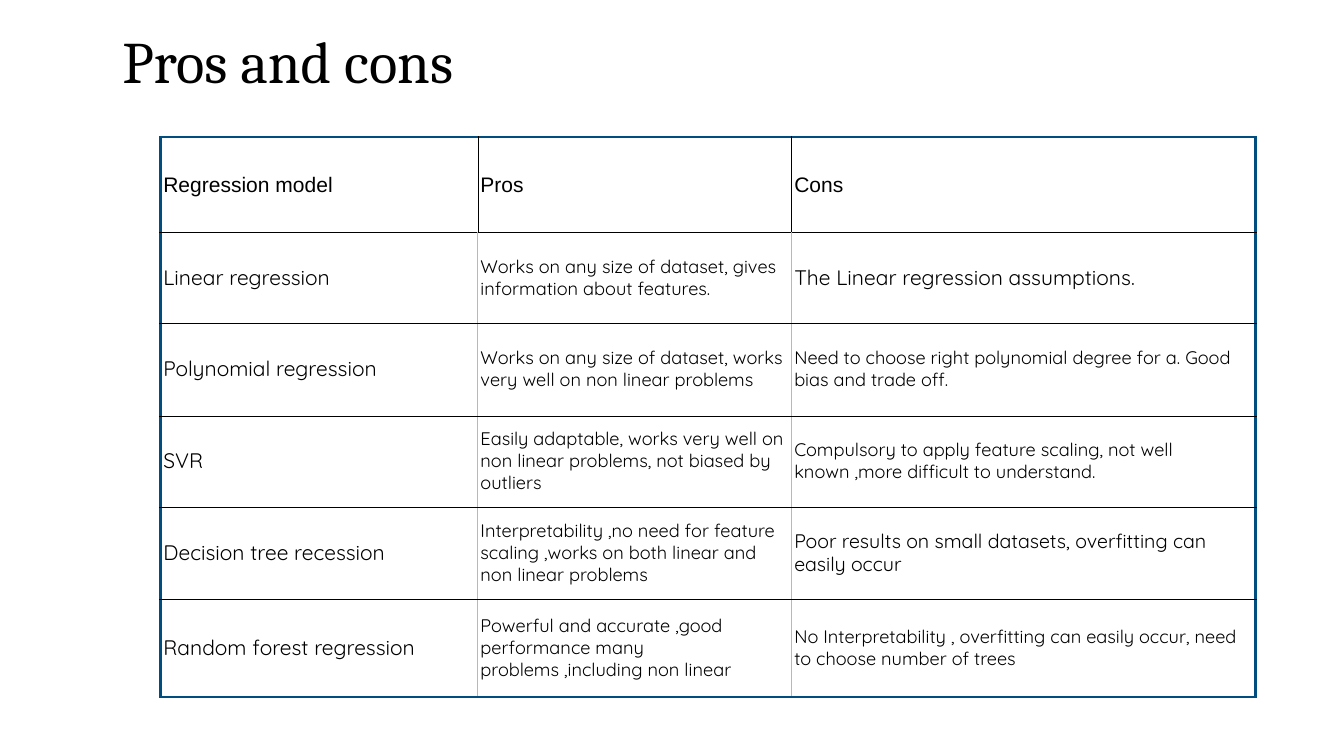
import pptx
import pptx.dml.color
import pptx.enum.text
import pptx.oxml
import pptx.oxml.ns
import pptx.util
from dataclasses import dataclass

Inches = pptx.util.Inches
Pt = pptx.util.Pt


@dataclass(frozen=True)
class Theme:
    ink: str = "000000"
    frame: str = "004D80"
    pale: str = "B8B8B8"
    serif: str = "Cambria"
    sans: str = "Arial"
    body: str = "Quicksand"
    title: float = 63
    large: float = 22.5
    mid: float = 21
    small: float = 19.5
    lead: float = 1.2
    pad: float = 0.04


class Deck:
    def __init__(self, theme):
        self.theme = theme
        self.prs = pptx.Presentation()
        self.prs.slide_width = Inches(20)
        self.prs.slide_height = Inches(11.25)
        self.slide = self.prs.slides.add_slide(self.prs.slide_layouts[6])

    def label(self, frame, text, font, size):
        """Fill a text frame with one paragraph of one run."""
        para = frame.paragraphs[0]
        para.line_spacing = Pt(size * self.theme.lead)
        run = para.add_run()
        run.text = text
        run.font.name = font
        run.font.size = Pt(size)
        run.font.color.rgb = pptx.dml.color.RGBColor.from_string(self.theme.ink)

    def title(self, text, left, top, width, height):
        box = self.slide.shapes.add_textbox(
            Inches(left), Inches(top), Inches(width), Inches(height))
        frame = box.text_frame
        frame.word_wrap = True
        frame.margin_left = frame.margin_right = 0
        frame.margin_top = frame.margin_bottom = 0
        self.label(frame, text, self.theme.serif, self.theme.title)

    def edge(self, cell, lines):
        """Draw the left, right, top and bottom borders of a cell, in that order."""
        props = cell._tc.get_or_add_tcPr()
        for spot, (side, (color, width)) in enumerate(zip("LRTB", lines)):
            line = pptx.oxml.parse_xml(
                f'<a:ln{side} {pptx.oxml.ns.nsdecls("a")} w="{Pt(width)}">'
                f'<a:solidFill><a:srgbClr val="{color}"/></a:solidFill>'
                f'</a:ln{side}>')
            props.insert(spot, line)

    def table(self, rows, left, top, widths, heights):
        theme = self.theme
        frame = (theme.frame, 3)
        thin = (theme.ink, 0.37)
        soft = (theme.pale, 1)
        grid = self.slide.shapes.add_table(
            len(rows), len(widths), Inches(left), Inches(top),
            Inches(sum(widths)), Inches(sum(heights))).table
        grid.first_row = grid.horz_banding = False
        for col, width in zip(grid.columns, widths):
            col.width = Inches(width)
        for row, height in zip(grid.rows, heights):
            row.height = Inches(height)
        end_row, end_col = len(rows) - 1, len(widths) - 1
        for r, row in enumerate(rows):
            inner = soft if r else thin
            for c, (text, size) in enumerate(row):
                cell = grid.cell(r, c)
                cell.fill.background()
                cell.vertical_anchor = pptx.enum.text.MSO_ANCHOR.MIDDLE
                cell.margin_left = cell.margin_right = Inches(theme.pad)
                cell.margin_top = cell.margin_bottom = Inches(theme.pad)
                font = theme.body if r else theme.sans
                self.label(cell.text_frame, text, font, size)
                self.edge(cell, (
                    inner if c else frame,
                    frame if c == end_col else inner,
                    thin if r else frame,
                    frame if r == end_row else thin))

    def save(self):
        self.prs.save("out.pptx")


def main():
    theme = Theme()
    large, mid, small = theme.large, theme.mid, theme.small
    head = [("Regression model", large), ("Pros", large), ("Cons", large)]
    models = [
        ("Linear regression",
         "Works on any size of dataset, gives information about features.",
         "The Linear regression assumptions.", large),
        ("Polynomial regression",
         "Works on any size of dataset, works very well on non linear problems",
         "Need to choose right polynomial degree for a. Good bias and trade off.",
         small),
        ("SVR",
         "Easily adaptable, works very well on non linear problems, "
         "not biased by outliers",
         "Compulsory to apply feature scaling, not well known ,"
         "more difficult to understand.", small),
        ("Decision tree recession",
         "Interpretability ,no need for feature scaling ,"
         "works on both linear and non linear problems",
         "Poor results on small datasets, overfitting can easily occur", mid),
        ("Random forest regression",
         "Powerful and accurate ,good performance many problems ,"
         "including non linear",
         "No Interpretability , overfitting can easily occur, "
         "need to choose number of trees", small),
    ]
    rows = [head] + [[(name, large), (pros, small), (cons, size)]
                     for name, pros, cons, size in models]
    deck = Deck(theme)
    deck.title("Pros and cons", 1.82, 0.37, 12.6, 1.05)
    deck.table(rows, 2.39, 2.04, (4.72, 4.67, 6.9),
               (1.42, 1.35, 1.38, 1.35, 1.38, 1.45))
    deck.save()


if __name__ == "__main__":
    main()
